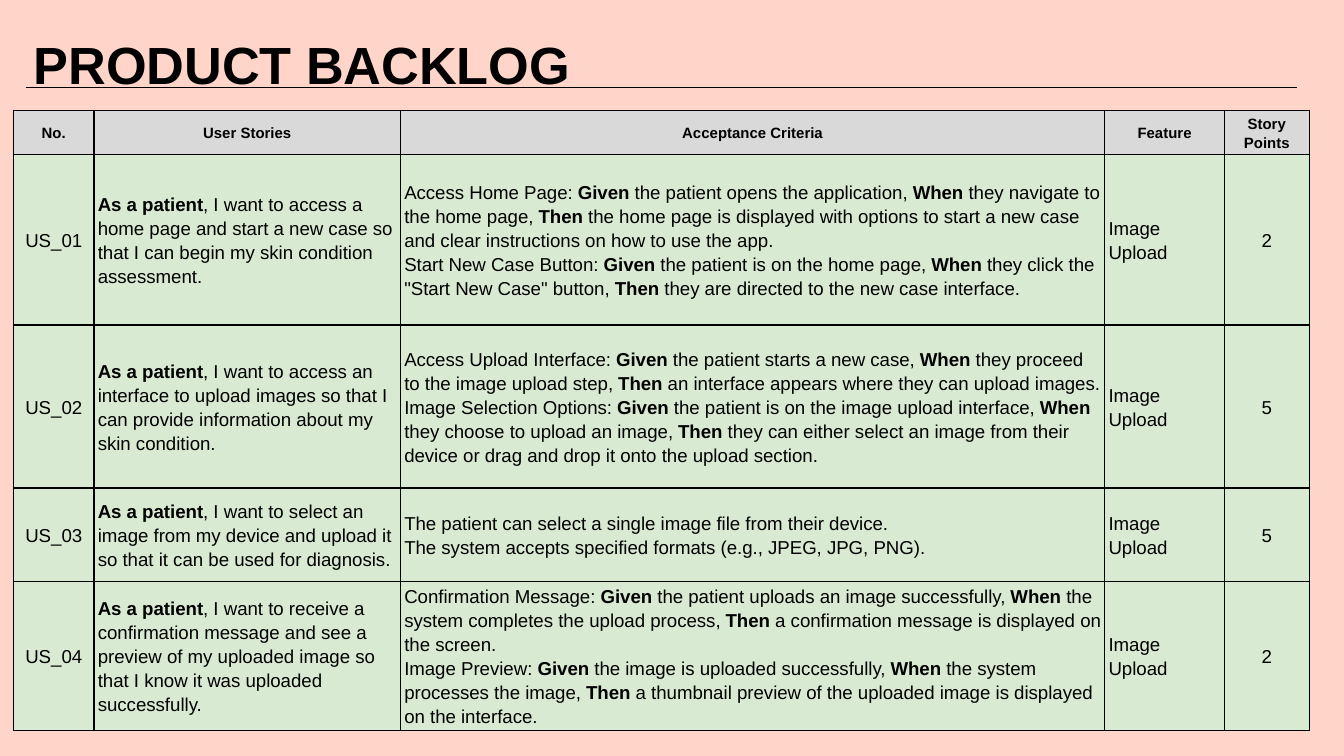
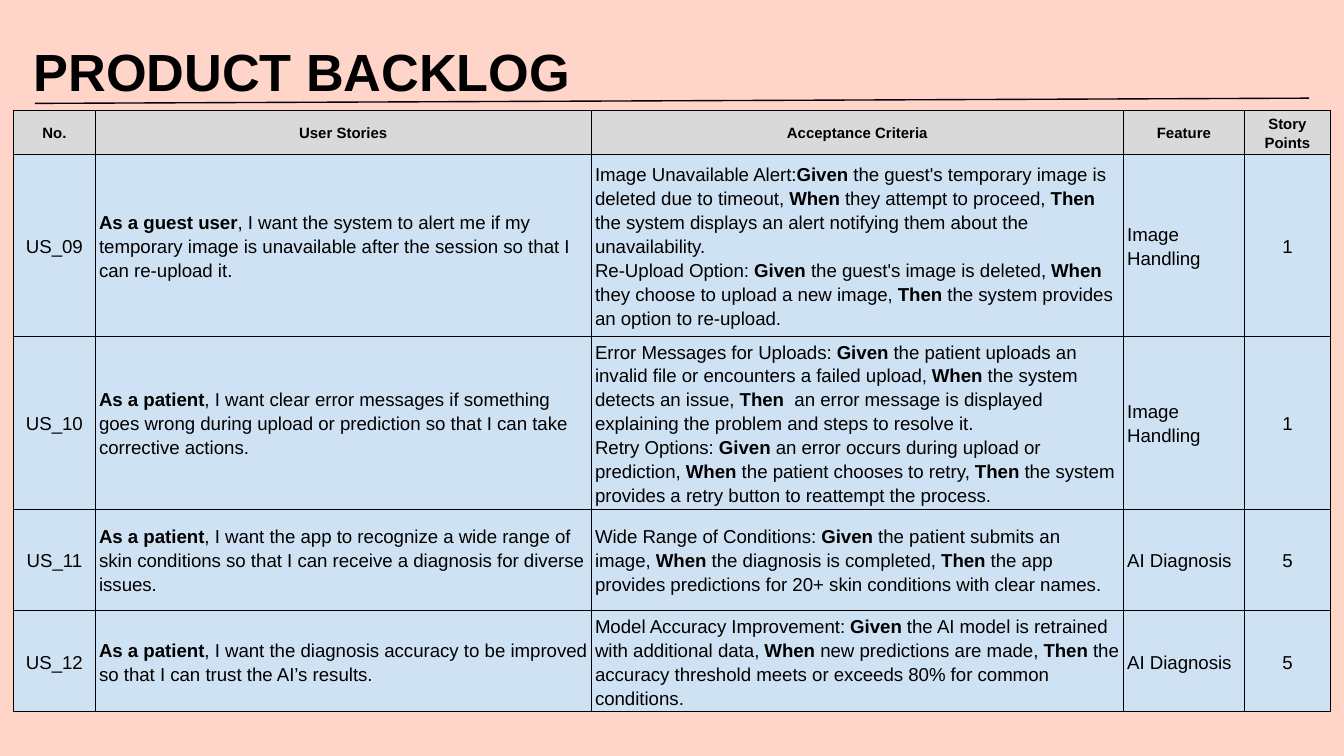
import pptx
import pptx.dml.color
import pptx.enum.shapes
import pptx.enum.text
import pptx.oxml.ns
import pptx.util
from lxml import etree

Pt = pptx.util.Pt
PP_ALIGN = pptx.enum.text.PP_ALIGN
MIDDLE = pptx.enum.text.MSO_ANCHOR.MIDDLE
COLORS = {"page": "FFD5CA", "ink": "000000", "header": "D9D9D9",
          "green": "D9EAD3", "blue": "CFE2F3"}
FONT = "Arial"
HEADERS = ["No.", "User Stories", "Acceptance Criteria", "Feature", "Story Points"]
CENTERED = {0, 4}

# Slide content: **...** marks bold, a line break starts a new paragraph
backlogs = [
    {
        "title_box": (10.8, 7.9, 607, 45.4),
        "rule": (13.7, 46.8, 694.8, 46.8),
        "fill": "green",
        "cols": [43.2, 164.2, 377.3, 64.1, 45.4],
        "rows": [23.5, 91.5, 87.3, 50, 80],
        "stories": [
            ("US_01",
             "**As a patient**, I want to access a home page and start a new case so that "
             "I can begin my skin condition assessment.",
             "Access Home Page: **Given** the patient opens the application, **When **they "
             "navigate to the home page, **Then** the home page is displayed with options to "
             "start a new case and clear instructions on how to use the app.\n"
             "Start New Case Button: **Given** the patient is on the home page, **When** they "
             "click the \"Start New Case\" button, **Then** they are directed to the new case "
             "interface.",
             "Image Upload", "2"),
            ("US_02",
             "**As a patient**, I want to access an interface to upload images so that I can "
             "provide information about my skin condition.",
             "Access Upload Interface: **Given** the patient starts a new case, **When** they "
             "proceed to the image upload step, **Then** an interface appears where they can "
             "upload images.\n"
             "Image Selection Options: **Given** the patient is on the image upload interface, "
             "**When **they choose to upload an image, **Then **they can either select an image "
             "from their device or drag and drop it onto the upload section.",
             "Image Upload", "5"),
            ("US_03",
             "**As a patient**, I want to select an image from my device and upload it so that "
             "it can be used for diagnosis.",
             "The patient can select a single image file from their device.\n"
             "The system accepts specified formats (e.g., JPEG, JPG, PNG).",
             "Image Upload", "5"),
            ("US_04",
             "**As a patient**, I want to receive a confirmation message and see a preview of "
             "my uploaded image so that I know it was uploaded successfully.",
             "Confirmation Message: **Given **the patient uploads an image successfully, "
             "**When **the system completes the upload process,** Then** a confirmation message "
             "is displayed on the screen.\n"
             "Image Preview: **Given** the image is uploaded successfully, **When** the system "
             "processes the image, **Then** a thumbnail preview of the uploaded image is "
             "displayed on the interface.",
             "Image Upload", "2"),
        ],
    },
    {
        "title_box": (10.8, 10.1, 607, 48.2),
        "rule": (18.7, 55.4, 701.3, 52.6),
        "fill": "blue",
        "cols": [43.9, 265.7, 285.1, 64.8, 46.1],
        "rows": [23.5, 97.5, 92.7, 54, 53.6],
        "stories": [
            ("US_09",
             "**As a guest user**, I want the system to alert me if my temporary image is "
             "unavailable after the session so that I can re-upload it.",
             "Image Unavailable Alert:**Given** the guest's temporary image is deleted due to "
             "timeout, **When** they attempt to proceed, **Then** the system displays an alert "
             "notifying them about the unavailability.\n"
             "Re-Upload Option: **Given **the guest's image is deleted, **When** they choose to "
             "upload a new image, **Then** the system provides an option to re-upload.",
             "Image Handling", "1"),
            ("US_10",
             "**As a patient**, I want clear error messages if something goes wrong during "
             "upload or prediction so that I can take corrective actions.",
             "Error Messages for Uploads: **Given** the patient uploads an invalid file or "
             "encounters a failed upload, **When** the system detects an issue, **Then ** an "
             "error message is displayed explaining the problem and steps to resolve it.\n"
             "Retry Options: **Given** an error occurs during upload or prediction, **When **the "
             "patient chooses to retry, **Then **the system provides a retry button to reattempt "
             "the process.",
             "Image Handling", "1"),
            ("US_11",
             "**As a patient**, I want the app to recognize a wide range of skin conditions so "
             "that I can receive a diagnosis for diverse issues.",
             "Wide Range of Conditions: **Given **the patient submits an image, **When** the "
             "diagnosis is completed, **Then** the app provides predictions for 20+ skin "
             "conditions with clear names.",
             "AI Diagnosis", "5"),
            ("US_12",
             "**As a patient**, I want the diagnosis accuracy to be improved so that I can trust "
             "the AI’s results.",
             "Model Accuracy Improvement: **Given** the AI model is retrained with additional "
             "data, **When **new predictions are made, **Then** the accuracy threshold meets or "
             "exceeds 80% for common conditions.",
             "AI Diagnosis", "5"),
        ],
    },
]


def rgb(name):
    return pptx.dml.color.RGBColor.from_string(COLORS[name])


def fill_cell(cell, text, size, fill, align):
    cell.margin_left = cell.margin_right = Pt(2)
    cell.margin_top = cell.margin_bottom = Pt(1.5)
    cell.vertical_anchor = MIDDLE
    tf = cell.text_frame
    for i, line in enumerate(text.split("\n")):
        p = tf.paragraphs[0] if i == 0 else tf.add_paragraph()
        p.alignment = align
        p.line_spacing = 1.15
        for j, part in enumerate(line.split("**")):
            if part:
                r = p.add_run()
                r.text = part
                r.font.bold = j % 2 == 1
                r.font.size = Pt(size)
                r.font.name = FONT
                r.font.color.rgb = rgb("ink")
    # Borders come before the fill in the cell properties
    tcPr = cell._tc.get_or_add_tcPr()
    for side in ("lnL", "lnR", "lnT", "lnB"):
        ln = etree.SubElement(tcPr, pptx.oxml.ns.qn("a:" + side), w=str(Pt(0.75)))
        solid = etree.SubElement(ln, pptx.oxml.ns.qn("a:solidFill"))
        etree.SubElement(solid, pptx.oxml.ns.qn("a:srgbClr"), val=COLORS["ink"])
    cell.fill.solid()
    cell.fill.fore_color.rgb = rgb(fill)


prs = pptx.Presentation()
prs.slide_width, prs.slide_height = Pt(720), Pt(405)
prs.slide_master.background.fill.solid()
prs.slide_master.background.fill.fore_color.rgb = rgb("page")

for backlog in backlogs:
    s = prs.slides.add_slide(prs.slide_layouts.get_by_name("Title Only"))

    # Title
    sp = s.shapes.title
    sp.left, sp.top, sp.width, sp.height = map(Pt, backlog["title_box"])
    tf = sp.text_frame
    tf.auto_size = pptx.enum.text.MSO_AUTO_SIZE.NONE
    tf.word_wrap = True
    tf.vertical_anchor = MIDDLE
    tf.margin_left = tf.margin_right = tf.margin_top = Pt(7.2)
    tf.margin_bottom = 0
    p = tf.paragraphs[0]
    p.text = "PRODUCT BACKLOG"
    p.alignment = PP_ALIGN.LEFT
    p.font.size = Pt(28)
    p.font.name = FONT
    p.font.bold = True
    p.font.color.rgb = rgb("ink")

    # Backlog table
    cols, rows = backlog["cols"], backlog["rows"]
    table = s.shapes.add_table(len(rows), len(cols), Pt(7.2), Pt(59),
                               Pt(sum(cols)), Pt(sum(rows))).table
    table.first_row = table.horz_banding = False
    for column, width in zip(table.columns, cols):
        column.width = Pt(width)
    for row, height in zip(table.rows, rows):
        row.height = Pt(height)
    for c, header in enumerate(HEADERS):
        fill_cell(table.cell(0, c), f"**{header}**", 8, "header", PP_ALIGN.CENTER)
    for i, story in enumerate(backlog["stories"], start=1):
        for c, text in enumerate(story):
            align = PP_ALIGN.CENTER if c in CENTERED else PP_ALIGN.LEFT
            fill_cell(table.cell(i, c), text, 10, backlog["fill"], align)

    # Rule under the title
    rule = s.shapes.add_connector(pptx.enum.shapes.MSO_CONNECTOR.STRAIGHT,
                                  *map(Pt, backlog["rule"]))
    rule.line.color.rgb = rgb("ink")
    rule.line.width = Pt(0.75)
    etree.SubElement(rule._element.spPr, pptx.oxml.ns.qn("a:effectLst"))

prs.save("out.pptx")
